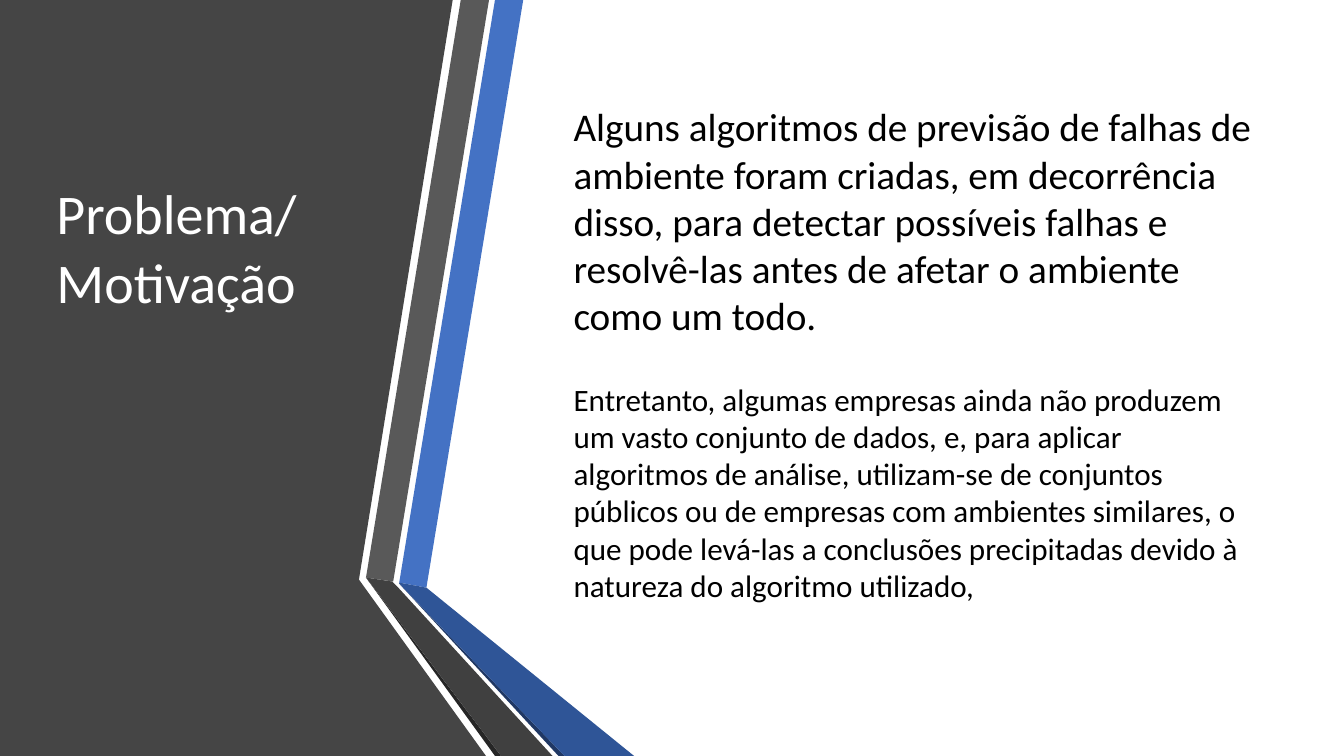
"""Build the Problema/Motivação slide with its folded ribbon panel."""
from pptx import Presentation
from pptx.dml.color import RGBColor
from pptx.enum.text import MSO_ANCHOR, PP_ALIGN
from pptx.util import Inches, Pt

WHITE = RGBColor(0xFF, 0xFF, 0xFF)
BLACK = RGBColor(0x00, 0x00, 0x00)
PANEL_GREY = RGBColor(0x45, 0x45, 0x45)
BLUE = RGBColor(0x44, 0x72, 0xC4)
DEEP_BLUE = RGBColor(0x2F, 0x55, 0x97)
NAVY = RGBColor(0x20, 0x38, 0x64)
GREY = RGBColor(0x59, 0x59, 0x59)
DARK_GREY = RGBColor(0x40, 0x40, 0x40)
CHARCOAL = RGBColor(0x26, 0x26, 0x26)

WIDTH, HEIGHT = 13.33, 7.5
TITLE = ["Problema/", "Motivação"]
TITLE_AREA = (0.46, 0.99, 3.25, 3)
BODY = [
    ("Alguns algoritmos de previsão de falhas de ambiente foram criadas, em "
     "decorrência disso, para detectar possíveis falhas e resolvê-las antes de "
     "afetar o ambiente como um todo.", (5.59, 0.97, 7.14, 2.52), 28),
    ("Entretanto, algumas empresas ainda não produzem um vasto conjunto de dados, "
     "e, para aplicar algoritmos de análise, utilizam-se de conjuntos públicos ou "
     "de empresas com ambientes similares, o que pode levá-las a conclusões "
     "precipitadas devido à natureza do algoritmo utilizado,",
     (5.59, 3.72, 6.92, 2.52), 22.2),
]
PANEL = [(0, 0), (4.49, 0), (3.56, 5.75), (4.82, HEIGHT), (0, HEIGHT)]
RIBBONS = [
    (BLUE, [(3.96, 5.78), (4.23, 5.83), (5.19, 0), (4.91, 0)]),
    (GREY, [(4.85, 0), (4.57, 0), (3.63, 5.73), (3.9, 5.77)]),
    (CHARCOAL, [(3.63, 5.73), (4.91, HEIGHT), (4.97, HEIGHT)]),
    (NAVY, [(3.96, 5.79), (5.54, HEIGHT), (5.6, HEIGHT)]),
    (DEEP_BLUE, [(3.96, 5.79), (5.6, HEIGHT), (6.29, HEIGHT), (4.23, 5.83), (3.96, 5.78)]),
    (DARK_GREY, [(5.48, HEIGHT), (3.95, 5.83), (3.89, 5.77), (3.63, 5.73), (4.97, HEIGHT)]),
]


def draw_outline(shapes, points, color):
    """Draw a filled closed outline from points given in inches."""
    corners = [(Inches(x), Inches(y)) for x, y in points]
    builder = shapes.build_freeform(*corners[0])
    builder.add_line_segments(corners[1:], close=True)
    shape = builder.convert_to_shape()
    shape.fill.solid()
    shape.fill.fore_color.rgb = color
    shape.line.fill.background()
    shape.shadow.inherit = False


def write_text(box, lines, *, area, size, color, anchor=MSO_ANCHOR.TOP,
               spacing=None, after=0):
    """Place a box and fill it with one formatted paragraph per line."""
    box.left, box.top, box.width, box.height = map(Inches, area)
    frame = box.text_frame
    frame.word_wrap = True
    frame.vertical_anchor = anchor
    for index, line in enumerate(lines):
        para = frame.add_paragraph() if index else frame.paragraphs[0]
        para.alignment = PP_ALIGN.LEFT
        para.line_spacing = spacing
        para.space_after = Pt(after)
        span = para.add_run()
        span.text = line
        span.font.name = "Calibri"
        span.font.size = Pt(size)
        span.font.color.rgb = color


def main():
    """Assemble the slide and save the deck."""
    deck = Presentation()
    deck.slide_width, deck.slide_height = Inches(WIDTH), Inches(HEIGHT)
    page = deck.slides.add_slide(deck.slide_layouts[5])
    draw_outline(page.shapes, PANEL, PANEL_GREY)
    ribbon_group = page.shapes.add_group_shape()
    for color, points in RIBBONS:
        draw_outline(ribbon_group.shapes, points, color)
    title = page.shapes.title
    title.element.getparent().append(title.element)
    write_text(title, TITLE, area=TITLE_AREA, size=40, color=WHITE,
               anchor=MSO_ANCHOR.MIDDLE, spacing=0.9, after=6)
    for text, area, size in BODY:
        box = page.shapes.add_textbox(*map(Inches, area))
        write_text(box, [text], area=area, size=size, color=BLACK)
    deck.save("out.pptx")


if __name__ == "__main__":
    main()
